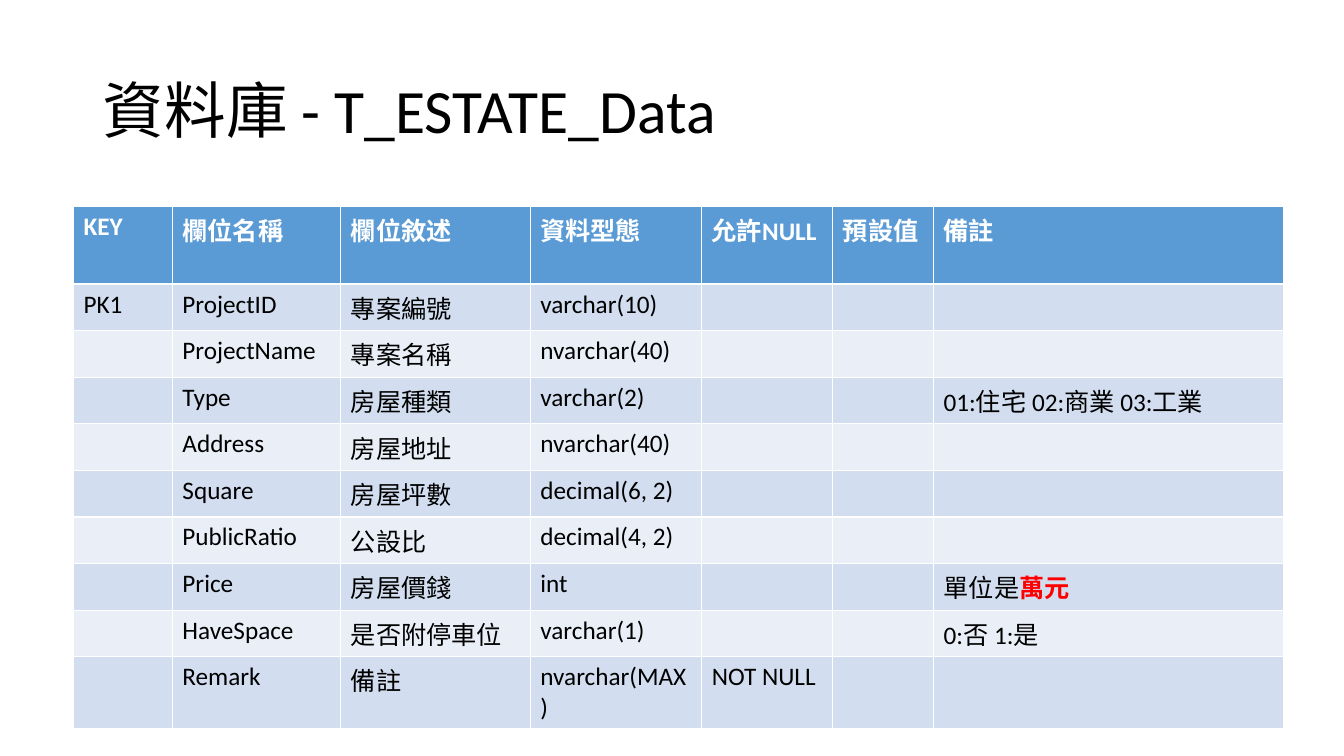
from lxml import etree
from pptx import Presentation
from pptx.dml.color import RGBColor
from pptx.enum.text import MSO_ANCHOR, PP_ALIGN
from pptx.oxml.ns import qn
from pptx.util import Inches, Pt

LEFT = PP_ALIGN.LEFT
MIDDLE = MSO_ANCHOR.MIDDLE
BLACK = RGBColor(0x00, 0x00, 0x00)
WHITE = RGBColor(0xFF, 0xFF, 0xFF)
RED = RGBColor(0xFF, 0x00, 0x00)
HEADER_BLUE = RGBColor(0x5B, 0x9B, 0xD5)
BANDS = [RGBColor(0xEA, 0xEF, 0xF7), RGBColor(0xD2, 0xDE, 0xEF)]
LATIN_FONT = "Calibri"
CJK_FONT = "Noto Sans CJK TC"


def style_paragraph(paragraph, size, color, bold=False):
    font = paragraph.font
    font.name, font.size, font.bold = LATIN_FONT, Pt(size), bold
    font.color.rgb = color
    defaults = paragraph._p.pPr.find(qn("a:defRPr"))
    etree.SubElement(defaults, qn("a:ea"), typeface=CJK_FONT)


prs = Presentation()
prs.slide_width, prs.slide_height = Inches(13.33), Inches(7.5)
slide = prs.slides.add_slide(prs.slide_layouts[5])

# Title
title = slide.shapes.title
title.left, title.top = Inches(0.92), Inches(0.4)
title.width, title.height = Inches(11.5), Inches(1.45)
title.text_frame.text = "資料庫 - T_ESTATE_Data"
title.text_frame.vertical_anchor = MIDDLE
heading = title.text_frame.paragraphs[0]
heading.alignment = LEFT
heading.line_spacing = 0.9
style_paragraph(heading, 44, BLACK)

# Column definitions: key, name, description, type, null, default, remark
COLUMN_WIDTHS = [0.98, 1.67, 1.88, 1.7, 1.3, 1, 3.47]
ROW_HEIGHT = 0.41
FIELDS = [
    ["KEY", "欄位名稱", "欄位敘述", "資料型態", "允許NULL", "預設值", "備註"],
    ["PK1", "ProjectID", "專案編號", "varchar(10)", "", "", ""],
    ["", "ProjectName", "專案名稱", "nvarchar(40)", "", "", ""],
    ["", "Type", "房屋種類", "varchar(2)", "", "", "01:住宅 02:商業 03:工業"],
    ["", "Address", "房屋地址", "nvarchar(40)", "", "", ""],
    ["", "Square", "房屋坪數", "decimal(6, 2)", "", "", ""],
    ["", "PublicRatio", "公設比", "decimal(4, 2)", "", "", ""],
    ["", "Price", "房屋價錢", "int", "", "", "單位是"],
    ["", "HaveSpace", "是否附停車位", "varchar(1)", "", "", "0:否 1:是"],
    ["", "Remark", "備註", "nvarchar(MAX)", "NOT NULL", "", ""],
]

# Table; its default style supplies the white grid lines
fields_table = slide.shapes.add_table(
    len(FIELDS), len(COLUMN_WIDTHS), Inches(0.73), Inches(2.05),
    Inches(12), Inches(ROW_HEIGHT * len(FIELDS))).table
for column, width in zip(fields_table.columns, COLUMN_WIDTHS):
    column.width = Inches(width)

for row_index, field in enumerate(FIELDS):
    is_header = row_index == 0
    fields_table.rows[row_index].height = Inches(ROW_HEIGHT)
    for column_index, text in enumerate(field):
        cell = fields_table.cell(row_index, column_index)
        cell.fill.solid()
        cell.fill.fore_color.rgb = HEADER_BLUE if is_header else BANDS[row_index % 2]
        if text:
            cell.text = text
            style_paragraph(cell.text_frame.paragraphs[0], 18,
                            WHITE if is_header else BLACK, is_header)

# Highlighted price unit
price_unit = fields_table.cell(7, 6).text_frame.paragraphs[0].add_run()
price_unit.text = "萬元"
price_unit.font.bold = True
price_unit.font.color.rgb = RED

prs.save("out.pptx")
